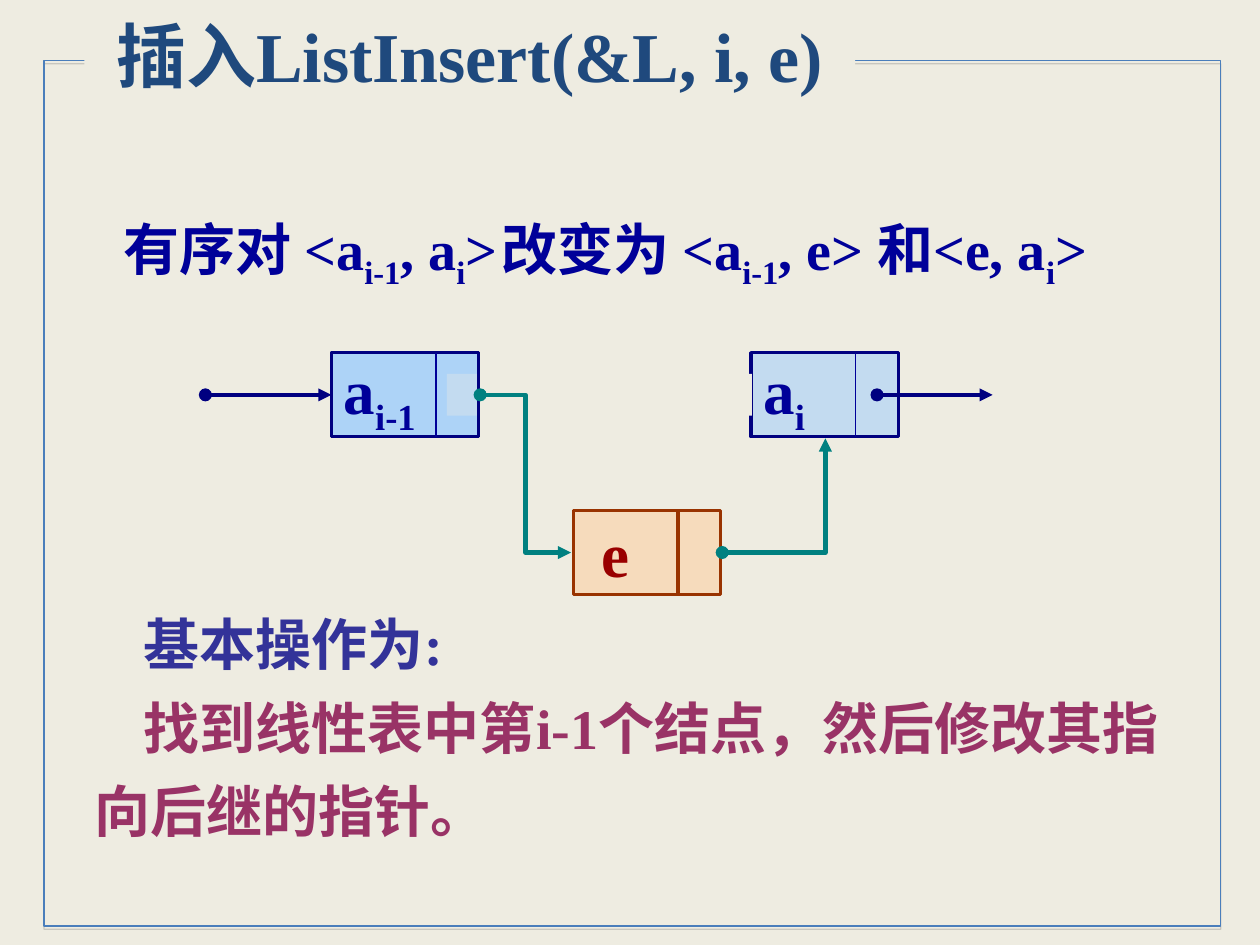
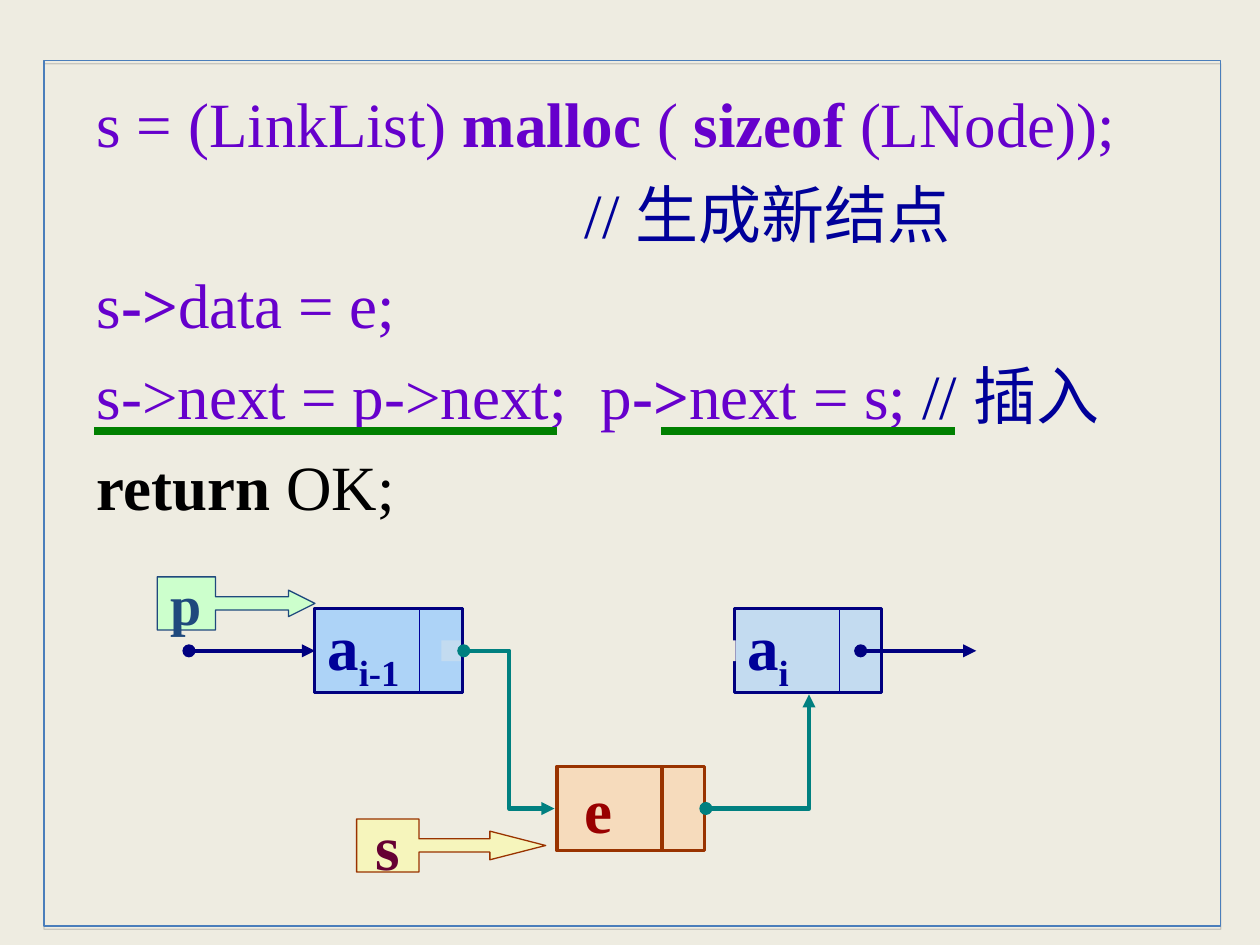
from lxml.etree import SubElement
from pptx import Presentation
from pptx.dml.color import RGBColor
from pptx.enum.shapes import MSO_CONNECTOR, MSO_SHAPE
from pptx.enum.text import MSO_ANCHOR, PP_ALIGN
from pptx.oxml.ns import qn
from pptx.util import Cm, Pt

FONT = "Times New Roman"
PAPER = RGBColor(0xEE, 0xEC, 0xE1)
FRAME_BLUE = RGBColor(0x4A, 0x7E, 0xBB)
TITLE_BLUE = RGBColor(0x1F, 0x49, 0x7D)
NAVY = RGBColor(0x00, 0x00, 0x80)
INK_BLUE = RGBColor(0x00, 0x00, 0x99)
SKY = RGBColor(0x99, 0xCC, 0xFF)
PEACH = RGBColor(0xFF, 0xCC, 0x99)
BROWN = RGBColor(0x99, 0x33, 0x00)
RED = RGBColor(0x99, 0x00, 0x00)
TEAL = RGBColor(0x00, 0x80, 0x80)
INDIGO = RGBColor(0x33, 0x33, 0x99)
PLUM = RGBColor(0x99, 0x33, 0x66)
VIOLET = RGBColor(0x66, 0x00, 0xCC)
WINE = RGBColor(0x66, 0x00, 0x33)
MINT = RGBColor(0xCC, 0xFF, 0xCC)
LEMON = RGBColor(0xFF, 0xFF, 0x99)
GREEN = RGBColor(0x00, 0x80, 0x00)
BLACK = RGBColor(0x00, 0x00, 0x00)

# Node size and the offset of its pointer cell, in cm
NODE_W, NODE_H, CELL_X = 2.97, 1.7, 2.11
MID = NODE_H / 2


# ---- Text ----
def write(shape, text, size=32, color=INK_BLUE, bold=False, align=PP_ALIGN.LEFT,
          anchor=MSO_ANCHOR.TOP, wrap=True, spacing=1.0, inset=0.25):
    """Fill a shape; text is a list of (runs, layout), runs of (text, overrides)."""
    frame = shape.text_frame
    frame.word_wrap = wrap
    frame.vertical_anchor = anchor
    frame.margin_left, frame.margin_right = Cm(inset), Cm(0.25)
    frame.margin_top = frame.margin_bottom = Cm(0.13)
    for number, (runs, layout) in enumerate(text):
        paragraph = frame.paragraphs[0] if number == 0 else frame.add_paragraph()
        paragraph.alignment = align
        paragraph.line_spacing = spacing
        properties = paragraph._p.get_or_add_pPr()
        properties.set("marL", str(Cm(layout.get("left", 0))))
        properties.set("indent", str(Cm(layout.get("first", 0))))
        if "tab" in layout:
            stops = SubElement(properties, qn("a:tabLst"))
            SubElement(stops, qn("a:tab"), pos=str(Cm(layout["tab"])), algn="l")
        for words, style in runs:
            run = paragraph.add_run()
            run.text = words
            run.font.name = FONT
            run.font.size = Pt(size)
            run.font.bold = style.get("bold", bold)
            run.font.color.rgb = style.get("color", color)
            if style.get("sub"):
                run.font._element.set("baseline", "-25000")


def line_of(*runs, **layout):
    """One paragraph; a plain string is a run without overrides."""
    return [(r, {}) if isinstance(r, str) else r for r in runs], layout


def sub(words):
    return words, {"sub": True}


def strong(words):
    return words, {"bold": True}


def add_text(slide, left, top, width, height, text, **style):
    box = slide.shapes.add_textbox(Cm(left), Cm(top), Cm(width), Cm(height))
    write(box, text, **style)
    return box


# ---- Shapes and lines ----
def add_block(slide, left, top, width, height, fill=None, line=None, weight=0.75,
              alpha=None, kind=MSO_SHAPE.RECTANGLE):
    block = slide.shapes.add_shape(kind, Cm(left), Cm(top), Cm(width), Cm(height))
    block.shadow.inherit = False
    if fill is None:
        block.fill.background()
    else:
        block.fill.solid()
        block.fill.fore_color.rgb = fill
        if alpha:
            color = block._element.spPr.find(qn("a:solidFill"))[0]
            SubElement(color, qn("a:alpha"), val=str(alpha * 1000))
    if line is None:
        block.line.fill.background()
    else:
        block.line.color.rgb = line
        block.line.width = Pt(weight)
    return block


def add_line(slide, start, end, color, weight, arrow=False, geometry=None):
    kind = MSO_CONNECTOR.ELBOW if geometry else MSO_CONNECTOR.STRAIGHT
    link = slide.shapes.add_connector(kind, *map(Cm, start + end))
    link.line.color.rgb = color
    link.line.width = Pt(weight)
    properties = link._element.spPr
    if geometry:
        properties.find(qn("a:prstGeom")).set("prst", geometry)
    if arrow:
        stroke = link.line._get_or_add_ln()
        SubElement(stroke, qn("a:headEnd"), type="oval")
        SubElement(stroke, qn("a:tailEnd"), type="triangle")
    SubElement(properties, qn("a:effectLst"))


def add_page(deck):
    """Blank slide with the shared background and shadowed frame."""
    slide = deck.slides.add_slide(deck.slide_layouts[6])
    slide.background.fill.solid()
    slide.background.fill.fore_color.rgb = PAPER
    frame = add_block(slide, 0.89, 1.22, 23.72, 17.45, line=FRAME_BLUE)
    effects = frame._element.spPr.find(qn("a:effectLst"))
    shadow = SubElement(effects, qn("a:outerShdw"), dist=str(Pt(1.8)),
                        dir="5400000", rotWithShape="0")
    grey = SubElement(shadow, qn("a:srgbClr"), val="808080")
    SubElement(grey, qn("a:alpha"), val="35000")
    return slide


# ---- Linked list ----
def add_node(slide, left, top, label, fill=SKY, line=NAVY, ink=INK_BLUE,
             weight=1.75, divider=INK_BLUE, divider_weight=0.75, inset=0.25):
    node = add_block(slide, left, top, NODE_W, NODE_H, fill, line, weight, alpha=50)
    write(node, [line_of(*label)], size=36, color=ink, bold=True,
          anchor=MSO_ANCHOR.MIDDLE, wrap=False, inset=inset)
    cell = left + CELL_X
    add_line(slide, (cell, top), (cell, top + NODE_H), divider, divider_weight)


def add_list_diagram(slide, left, top, gap_width, gap_height):
    """Node e linked in between a(i-1), placed at left/top, and a(i)."""
    e_left, e_top = left + 4.88, top + 3.18
    next_left = left + 8.46
    middle, e_middle = top + MID, e_top + MID

    add_node(slide, e_left, e_top, ["e"], PEACH, BROWN, RED, weight=2,
             divider=BROWN, divider_weight=2, inset=0.56)
    # Second tint below a(i-1), with the removed link's gap above it
    add_block(slide, left, top, NODE_W, NODE_H, SKY, NAVY, 1.75, alpha=50)
    add_node(slide, next_left, top, ["a", sub("i")])
    add_block(slide, next_left + 0.02 - gap_width, middle - gap_height / 2,
              gap_width, gap_height, PAPER)
    add_node(slide, left, top, ["a", sub("i-1")])

    # Links into and out of the list
    for start, end in ((left - 2.54, left), (next_left + 2.54, next_left + 4.87)):
        add_line(slide, (start, middle), (end, middle), NAVY, 2.5, arrow=True)
    # New links through e
    add_line(slide, (left + 3, middle), (e_left - 0.05, e_middle), TEAL, 2.5,
             arrow=True, geometry="bentConnector3")
    add_line(slide, (e_left + 3, e_middle), (next_left + 1.5, top + NODE_H + 0.03),
             TEAL, 2.5, arrow=True, geometry="bentConnector2")


def add_pointer(slide, left, top, width, name, fill, line, ink, size, adjust, alpha=None):
    pointer = add_block(slide, left, top, width, 1.07, fill, line, alpha=alpha,
                        kind=MSO_SHAPE.RIGHT_ARROW_CALLOUT)
    for index, value in enumerate(adjust):
        pointer.adjustments[index] = value
    write(pointer, [line_of(name)], size=size, color=ink, bold=True,
          align=PP_ALIGN.CENTER, anchor=MSO_ANCHOR.MIDDLE, wrap=False)


# ---- Slides ----
def build_insert_idea(deck):
    slide = add_page(deck)
    title = add_text(slide, 1.7, 0.08, 15.54, 2.03,
                     [line_of("插入ListInsert(&L, i, e)")], size=40, color=TITLE_BLUE,
                     bold=True, align=PP_ALIGN.CENTER, anchor=MSO_ANCHOR.MIDDLE)
    title.fill.solid()
    title.fill.fore_color.rgb = PAPER
    pairs = line_of("有序对 <a", sub("i-1"), ", a", sub("i"), ">\t改变为 <a", sub("i-1"),
                    ", e> 和<e, a", sub("i"), ">", tab=8.6)
    add_text(slide, 2.24, 3.58, 22.2, 4.17, [pairs], bold=True, spacing=1.4)
    add_list_diagram(slide, 6.68, 7.11, gap_width=6.15, gap_height=0.84)
    steps = [line_of(("基本操作为:", {"color": INDIGO}), first=1),
             line_of("找到线性表中第i-1个结点，然后修改其指向后继的指针。", first=1)]
    add_text(slide, 1.65, 11.81, 22.89, 5.33, steps, color=PLUM, bold=True, spacing=1.25)


def build_insert_code(deck):
    slide = add_page(deck)
    comment = {"color": INK_BLUE}
    code = [
        line_of("s = (LinkList) ", strong("malloc "), "( ", strong("sizeof "), "(LNode));"),
        line_of(("// 生成新结点", comment), left=9.84),
        line_of("s", strong("->"), "data = e;"),
        line_of("s->next = p->next;\tp", strong("->"), "next = s;", (" // 插入", comment),
                tab=11.38),
        line_of(("return", {"bold": True, "color": BLACK}), (" OK;", {"color": BLACK})),
    ]
    add_text(slide, 1.7, 1.27, 22.43, 9.4, code, size=36, color=VIOLET, spacing=1.2)
    add_list_diagram(slide, 6.35, 12.27, gap_width=5.93, gap_height=0.42)
    add_pointer(slide, 7.19, 16.51, 3.81, "s", LEMON, BROWN, WINE, 36,
                (0.25, 0.27, 1.05, 0.33), alpha=50)
    add_pointer(slide, 3.17, 11.63, 3.18, "p", MINT, TITLE_BLUE, TITLE_BLUE, 32,
                (0.25, 0.25, 0.5, 0.37))
    # Underlines of the two relinking statements
    for start, end in ((1.9, 11.23), (13.33, 19.25)):
        add_line(slide, (start, 8.68), (end, 8.68), GREEN, 4.5)


def main():
    deck = Presentation()
    deck.slide_width, deck.slide_height = Cm(25.4), Cm(19.05)
    build_insert_idea(deck)
    build_insert_code(deck)
    deck.save("out.pptx")


if __name__ == "__main__":
    main()
